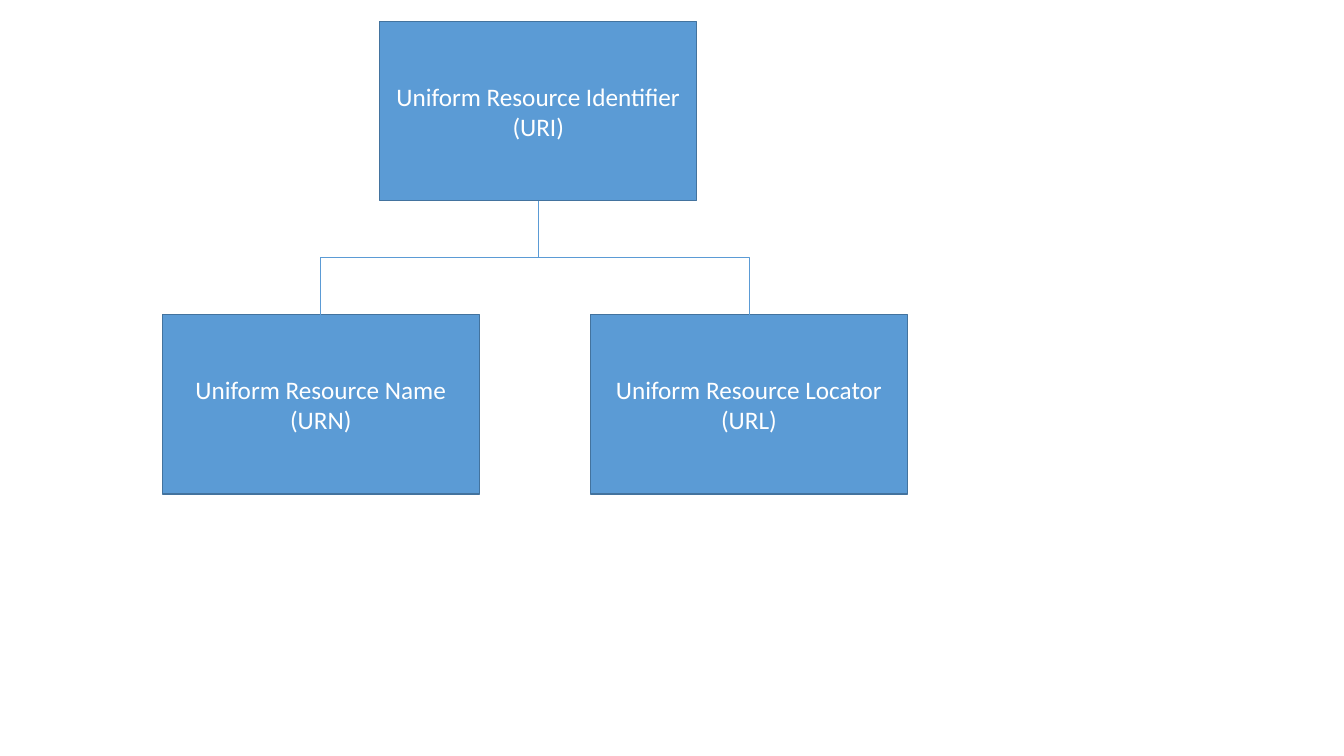
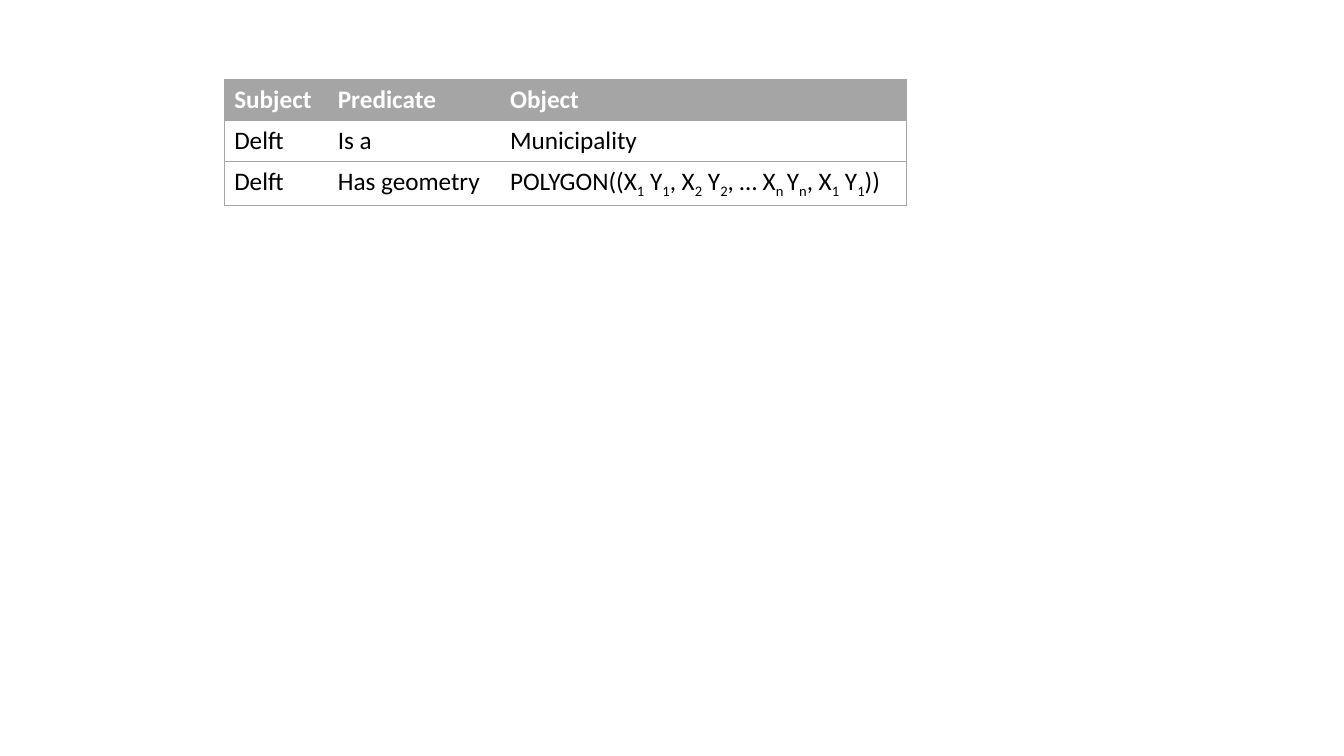
from dataclasses import dataclass

from lxml.etree import SubElement
from pptx import Presentation
from pptx.dml.color import RGBColor
from pptx.enum.shapes import MSO_CONNECTOR, MSO_SHAPE
from pptx.enum.text import MSO_ANCHOR, PP_ALIGN
from pptx.oxml.ns import qn
from pptx.util import Cm, Pt


@dataclass(frozen=True)
class Theme:
    font: str = "Calibri"
    size: float = 18
    blue: str = "5B9BD5"
    outline: str = "43739E"
    gray: str = "A5A5A5"
    white: str = "FFFFFF"
    black: str = "000000"
    box_line: float = 1
    thin_line: float = 0.5


theme = Theme()


def write(frame, text, color=theme.black, bold=False, align=PP_ALIGN.LEFT):
    """One paragraph per line; text between ~ marks is subscript."""
    for row, line in enumerate(text.split("\n")):
        paragraph = frame.paragraphs[0] if row == 0 else frame.add_paragraph()
        paragraph.alignment = align
        for part, piece in enumerate(line.split("~")):
            run = paragraph.add_run()
            run.text = piece
            run.font.name = theme.font
            run.font.size = Pt(theme.size)
            run.font.bold = bold
            run.font.color.rgb = RGBColor.from_string(color)
            if part % 2:
                run.font._element.set("baseline", "-25000")


def draw_border(cell, side, visible):
    border = SubElement(cell._tc.get_or_add_tcPr(), qn(f"a:ln{side}"),
                        w=str(Pt(theme.thin_line)))
    if visible:
        fill = SubElement(border, qn("a:solidFill"))
        SubElement(fill, qn("a:srgbClr"), val=theme.gray)
    else:
        SubElement(border, qn("a:noFill"))


deck = Presentation()
deck.slide_width, deck.slide_height = Cm(33.87), Cm(19.05)
blank = deck.slide_layouts[6]

# Slide 1: identifier hierarchy
hierarchy = deck.slides.add_slide(blank)
box_width, box_height = Cm(7.99), Cm(4.52)
identifiers = []
for left, top, label in [
    (9.57, 0.54, "Uniform Resource Identifier\n(URI)"),
    (4.09, 7.93, "Uniform Resource Name\n(URN)"),
    (14.88, 7.93, "Uniform Resource Locator\n(URL)"),
]:
    box = hierarchy.shapes.add_shape(MSO_SHAPE.RECTANGLE, Cm(left), Cm(top),
                                     box_width, box_height)
    box.shadow.inherit = False
    box.fill.solid()
    box.fill.fore_color.rgb = RGBColor.from_string(theme.blue)
    box.line.color.rgb = RGBColor.from_string(theme.outline)
    box.line.width = Pt(theme.box_line)
    box.text_frame.word_wrap = True
    box.text_frame.vertical_anchor = MSO_ANCHOR.MIDDLE
    write(box.text_frame, label, color=theme.white, align=PP_ALIGN.CENTER)
    identifiers.append(box)

# Branches from the URI down to its two kinds
uri, *kinds = identifiers
for kind in kinds:
    branch = hierarchy.shapes.add_connector(MSO_CONNECTOR.ELBOW, 0, 0, 0, 0)
    branch.begin_connect(uri, 2)
    branch.end_connect(kind, 0)
    branch.line.color.rgb = RGBColor.from_string(theme.blue)
    branch.line.width = Pt(theme.thin_line)
    SubElement(branch._element.spPr, qn("a:effectLst"))

    # A quarter turn makes the elbow leave and arrive vertically
    drop = kind.top - uri.top - box_height
    reach = abs(kind.left - uri.left)
    middle_x = (uri.left + kind.left + box_width) // 2
    middle_y = uri.top + box_height + drop // 2
    branch.left, branch.top = middle_x - drop // 2, middle_y - reach // 2
    branch.width, branch.height = drop, reach
    to_right = kind.left > uri.left
    turn = branch._element.spPr.xfrm
    turn.flipH = to_right
    turn.rot = 270 if to_right else 90

# Slide 2: triples
triples = deck.slides.add_slide(blank)
rows = [
    ("Subject", "Predicate", "Object"),
    ("Delft", "Is a", "Municipality"),
    ("Delft", "Has geometry",
     "POLYGON((X~1~ Y~1~, X~2~ Y~2~, … X~n ~Y~n~, X~1~ Y~1~))"),
]
column_widths = [2.61, 4.34, 10.23]
row_height = 1.03
table = triples.shapes.add_table(
    len(rows), len(column_widths), Cm(5.65), Cm(2),
    Cm(sum(column_widths)), Cm(row_height * len(rows))).table
table.horz_banding = False
for column, width in zip(table.columns, column_widths):
    column.width = Cm(width)

for r, row in enumerate(rows):
    header = r == 0
    for c, text in enumerate(row):
        cell = table.cell(r, c)
        write(cell.text_frame, text, bold=header,
              color=theme.white if header else theme.black)
        for side, visible in [("L", c == 0), ("R", c == len(row) - 1),
                              ("T", True), ("B", True)]:
            draw_border(cell, side, visible)
        cell.fill.solid()
        cell.fill.fore_color.rgb = RGBColor.from_string(
            theme.gray if header else theme.white)

deck.save("out.pptx")
